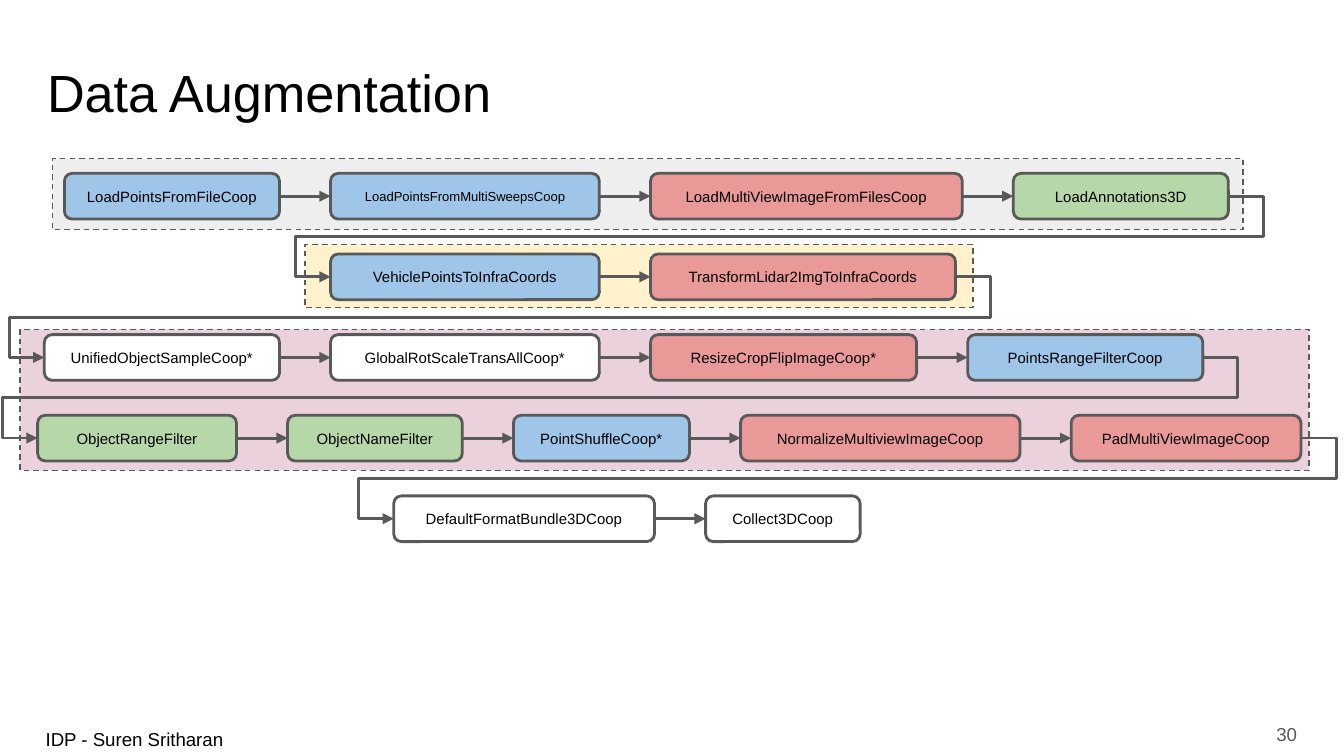
from lxml.etree import SubElement
from pptx import Presentation
from pptx.dml.color import RGBColor
from pptx.enum.dml import MSO_LINE
from pptx.enum.shapes import MSO_CONNECTOR, MSO_SHAPE
from pptx.enum.text import MSO_ANCHOR, PP_ALIGN
from pptx.oxml.ns import qn
from pptx.util import Inches, Pt

BLACK = RGBColor(0x00, 0x00, 0x00)
WHITE = RGBColor(0xFF, 0xFF, 0xFF)
GRAY = RGBColor(0x59, 0x59, 0x59)
BLUE = RGBColor(0x9F, 0xC5, 0xE8)
RED = RGBColor(0xEA, 0x99, 0x99)
GREEN = RGBColor(0xB6, 0xD7, 0xA8)
PINK = RGBColor(0xEA, 0xD1, 0xDC)
CREAM = RGBColor(0xFF, 0xF2, 0xCC)
PALE_GRAY = RGBColor(0xEE, 0xEE, 0xEE)

# Stage backgrounds: left, top, width, height, fill
STAGES = [
    (0.15, 2.45, 9.59, 1.05, PINK),
    (2.27, 1.82, 4.97, 0.47, CREAM),
    (0.39, 1.18, 8.86, 0.53, PALE_GRAY),
]

# Pipeline rows: left edge, then steps as (name, width, fill)
ROWS = [
    (0.48, [("LoadPointsFromFileCoop", 1.6, BLUE),
            ("LoadPointsFromMultiSweepsCoop", 2, BLUE),
            ("LoadMultiViewImageFromFilesCoop", 2.32, RED),
            ("LoadAnnotations3D", 1.6, GREEN)]),
    (2.46, [("VehiclePointsToInfraCoords", 2, BLUE),
            ("TransformLidar2ImgToInfraCoords", 2.27, RED)]),
    (0.33, [("UnifiedObjectSampleCoop*", 1.75, WHITE),
            ("GlobalRotScaleTransAllCoop*", 2, WHITE),
            ("ResizeCropFlipImageCoop*", 1.98, RED),
            ("PointsRangeFilterCoop", 1.75, BLUE)]),
    (0.28, [("ObjectRangeFilter", 1.48, GREEN),
            ("ObjectNameFilter", 1.3, GREEN),
            ("PointShuffleCoop*", 1.31, BLUE),
            ("NormalizeMultiviewImageCoop", 2.08, RED),
            ("PadMultiViewImageCoop", 1.71, RED)]),
    (2.93, [("DefaultFormatBundle3DCoop", 1.94, WHITE),
            ("Collect3DCoop", 1.15, WHITE)]),
]
SMALL_STEPS = {"LoadPointsFromMultiSweepsCoop"}
FIRST_ROW_TOP, ROW_PITCH = 1.29, 0.6
STEP_HEIGHT, STEP_GAP = 0.34, 0.38
DETOUR = 0.26  # how far a row-to-row arrow runs past its steps

# Text boxes: text, box, size, colour, alignment, anchor, line spacing, vertical inset
TEXTS = [
    ("Data Augmentation", (0.35, 0.32, 9.31, 0.47), 28, BLACK,
     PP_ALIGN.LEFT, MSO_ANCHOR.TOP, 1.28, 0),
    ("30", (7.41, 5.31, 2.24, 0.3), 10, GRAY,
     PP_ALIGN.RIGHT, MSO_ANCHOR.MIDDLE, 1, 0.05),
    ("IDP - Suren Sritharan", (0.34, 5.31, 7.07, 0.3), 10, BLACK,
     PP_ALIGN.LEFT, MSO_ANCHOR.MIDDLE, 1.5, 0.05),
]

presentation = Presentation()
presentation.slide_width = Inches(10)
presentation.slide_height = presentation.slide_width * 9 // 16
slide = presentation.slides.add_slide(presentation.slide_layouts[6])


def write(shape, text, size, color, align, anchor, inset_x, inset_y):
    frame = shape.text_frame
    frame.text = text
    frame.word_wrap = True
    frame.vertical_anchor = anchor
    frame.margin_left = frame.margin_right = Inches(inset_x)
    frame.margin_top = frame.margin_bottom = Inches(inset_y)
    paragraph = frame.paragraphs[0]
    paragraph.alignment = align
    font = paragraph.runs[0].font
    font.name, font.size = "Arial", Pt(size)
    font.color.rgb = color
    return paragraph


def add_box(kind, box, fill, line_width):
    shape = slide.shapes.add_shape(kind, *map(Inches, box))
    shape.shadow.inherit = False
    shape.fill.solid()
    shape.fill.fore_color.rgb = fill
    shape.line.color.rgb = GRAY
    shape.line.width = Pt(line_width)
    return shape


def add_arrow(start, end, kind=MSO_CONNECTOR.STRAIGHT):
    connector = slide.shapes.add_connector(kind, 0, 0, 0, 0)
    connector.begin_connect(start, 3)
    connector.end_connect(end, 1)
    connector.line.color.rgb = GRAY
    connector.line.width = Pt(1.5)
    SubElement(connector.line._get_or_add_ln(), qn("a:tailEnd"), type="triangle")
    SubElement(connector._element.spPr, qn("a:effectLst"))
    return connector


def add_row_arrow(start, end):
    """Arrow that leaves right, runs back between the rows and enters from the left."""
    connector = add_arrow(start, end, MSO_CONNECTOR.ELBOW)
    geometry = connector._element.spPr.find(qn("a:prstGeom"))
    geometry.set("prst", "bentConnector5")
    guides = geometry.find(qn("a:avLst"))
    overshoot = Inches(DETOUR) / connector.width
    for number, value in enumerate((-overshoot, 0.5, 1 + overshoot), 1):
        SubElement(guides, qn("a:gd"), name=f"adj{number}",
                   fmla=f"val {round(value * 100000)}")


# Stage backgrounds
for *box, fill in STAGES:
    add_box(MSO_SHAPE.RECTANGLE, box, fill, 0.75).line.dash_style = MSO_LINE.DASH

# Steps
step_rows = []
for index, (left, steps) in enumerate(ROWS):
    top = FIRST_ROW_TOP + index * ROW_PITCH
    shapes = []
    for name, width, fill in steps:
        shape = add_box(MSO_SHAPE.ROUNDED_RECTANGLE, (left, top, width, STEP_HEIGHT), fill, 1.5)
        write(shape, name, 7 if name in SMALL_STEPS else 8, BLACK,
              PP_ALIGN.CENTER, MSO_ANCHOR.MIDDLE, 0.1, 0.1)
        shapes.append(shape)
        left += width + STEP_GAP
    step_rows.append(shapes)

# Arrows within rows, then from each row to the next
for shapes in step_rows:
    for start, end in zip(shapes, shapes[1:]):
        add_arrow(start, end)
for upper, lower in zip(step_rows, step_rows[1:]):
    add_row_arrow(upper[-1], lower[0])

# Title, page number and footer
for text, box, size, color, align, anchor, spacing, inset_y in TEXTS:
    text_box = slide.shapes.add_textbox(*map(Inches, box))
    paragraph = write(text_box, text, size, color, align, anchor, 0, inset_y)
    paragraph.line_spacing = spacing

presentation.save("out.pptx")
